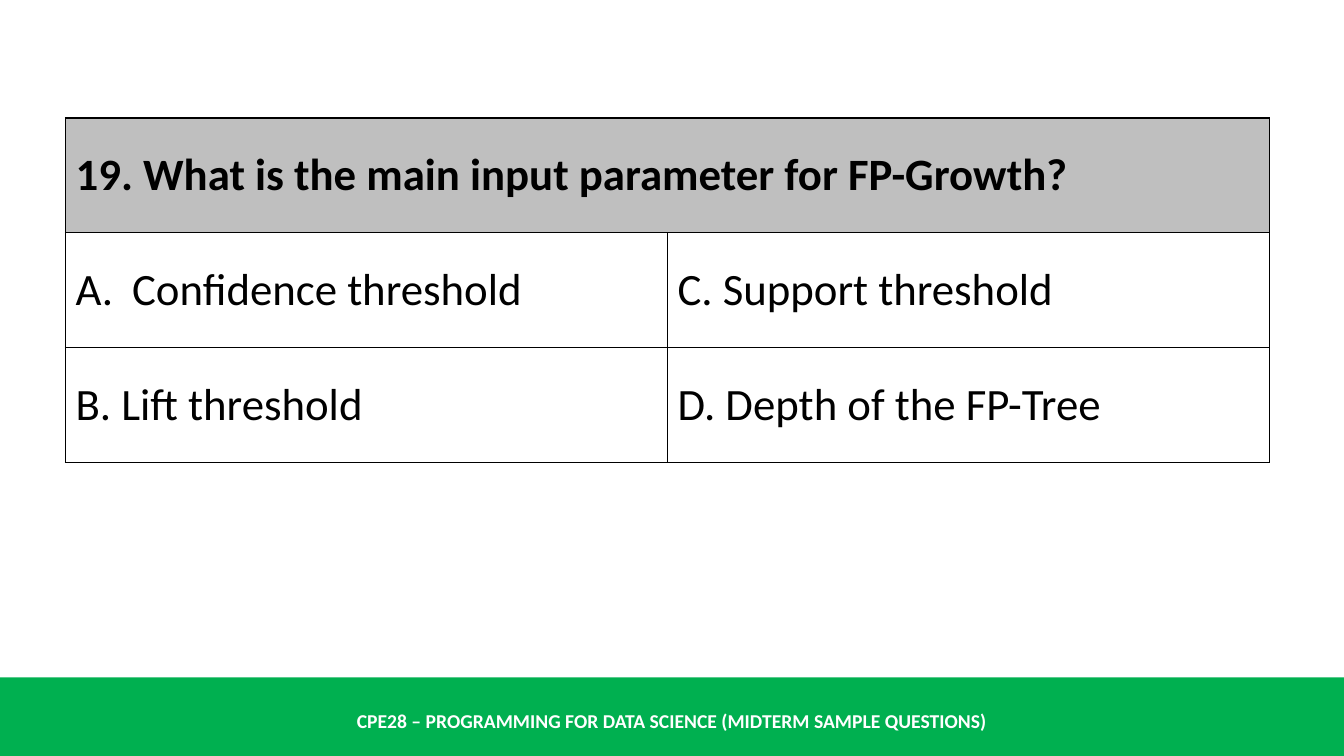
"""Build a multiple-choice question slide with a green course footer."""
from lxml.etree import SubElement
from pptx import Presentation
from pptx.dml.color import RGBColor
from pptx.enum.shapes import MSO_SHAPE
from pptx.enum.text import MSO_ANCHOR, PP_ALIGN
from pptx.oxml.ns import qn
from pptx.util import Inches, Pt

QUESTION = "19. What is the main input parameter for FP-Growth?"
ANSWERS = [
    ("Confidence threshold", "C. Support threshold"),
    ("B. Lift threshold", "D. Depth of the FP-Tree"),
]
COURSE = "CPE28 – PROGRAMMING FOR DATA SCIENCE (MIDTERM SAMPLE QUESTIONS)"

FONT = "Calibri"
GREEN = RGBColor(0x00, 0xB0, 0x50)
GRAY = RGBColor(0xBF, 0xBF, 0xBF)
BLACK = RGBColor(0x00, 0x00, 0x00)
WHITE = RGBColor(0xFF, 0xFF, 0xFF)

WIDTH, HEIGHT = Inches(13.33), Inches(7.5)
FOOTER_TOP = Inches(6.72)
TABLE_LEFT, TABLE_TOP = Inches(0.65), Inches(1.17)
COLUMN_WIDTH, ROW_HEIGHT = Inches(5.97), Inches(1.14)
LETTER_INDENT = Inches(0.56)


def style_text(paragraph, size, color, bold):
    font = paragraph.font
    font.name, font.size, font.bold = FONT, Pt(size), bold
    font.color.rgb = color


def add_borders(cell):
    properties = cell._tc.get_or_add_tcPr()
    for side in ("a:lnL", "a:lnR", "a:lnT", "a:lnB"):
        line = SubElement(properties, qn(side), w=str(Pt(1)))
        fill = SubElement(line, qn("a:solidFill"))
        SubElement(fill, qn("a:srgbClr"), val=str(BLACK))


def add_letter(paragraph):
    properties = paragraph._p.get_or_add_pPr()
    properties.set("marL", str(LETTER_INDENT))
    properties.set("indent", str(-LETTER_INDENT))
    SubElement(properties, qn("a:buFont"), typeface="+mj-lt")
    SubElement(properties, qn("a:buAutoNum"), type="alphaUcPeriod")


def add_footer(slide):
    band = slide.shapes.add_shape(
        MSO_SHAPE.RECTANGLE, 0, FOOTER_TOP, WIDTH, HEIGHT - FOOTER_TOP)
    band.shadow.inherit = False
    band.fill.solid()
    band.fill.fore_color.rgb = GREEN
    band.line.fill.background()
    label = slide.shapes.add_textbox(0, Inches(6.95), WIDTH, Inches(0.4))
    frame = label.text_frame
    frame.word_wrap = True
    frame.vertical_anchor = MSO_ANCHOR.MIDDLE
    paragraph = frame.paragraphs[0]
    paragraph.text = COURSE
    paragraph.alignment = PP_ALIGN.CENTER
    style_text(paragraph, 14, WHITE, True)


def add_question(slide):
    rows = [(QUESTION, ""), *ANSWERS]
    table = slide.shapes.add_table(
        len(rows), 2, TABLE_LEFT, TABLE_TOP,
        2 * COLUMN_WIDTH, len(rows) * ROW_HEIGHT).table
    table.first_row = table.horz_banding = False
    for column in table.columns:
        column.width = COLUMN_WIDTH
    for row_index, texts in enumerate(rows):
        table.rows[row_index].height = ROW_HEIGHT
        for column_index, text in enumerate(texts):
            cell = table.cell(row_index, column_index)
            add_borders(cell)
            if row_index == 0:
                cell.fill.solid()
                cell.fill.fore_color.rgb = GRAY
            else:
                cell.fill.background()
            cell.vertical_anchor = MSO_ANCHOR.MIDDLE
            paragraph = cell.text_frame.paragraphs[0]
            paragraph.text = text
            if (row_index, column_index) == (1, 0):
                add_letter(paragraph)
            style_text(paragraph, 32, BLACK, row_index == 0)
    table.cell(0, 0).merge(table.cell(0, 1))


def main():
    presentation = Presentation()
    presentation.slide_width, presentation.slide_height = WIDTH, HEIGHT
    slide = presentation.slides.add_slide(presentation.slide_layouts[6])
    add_footer(slide)
    add_question(slide)
    presentation.save("out.pptx")


if __name__ == "__main__":
    main()
